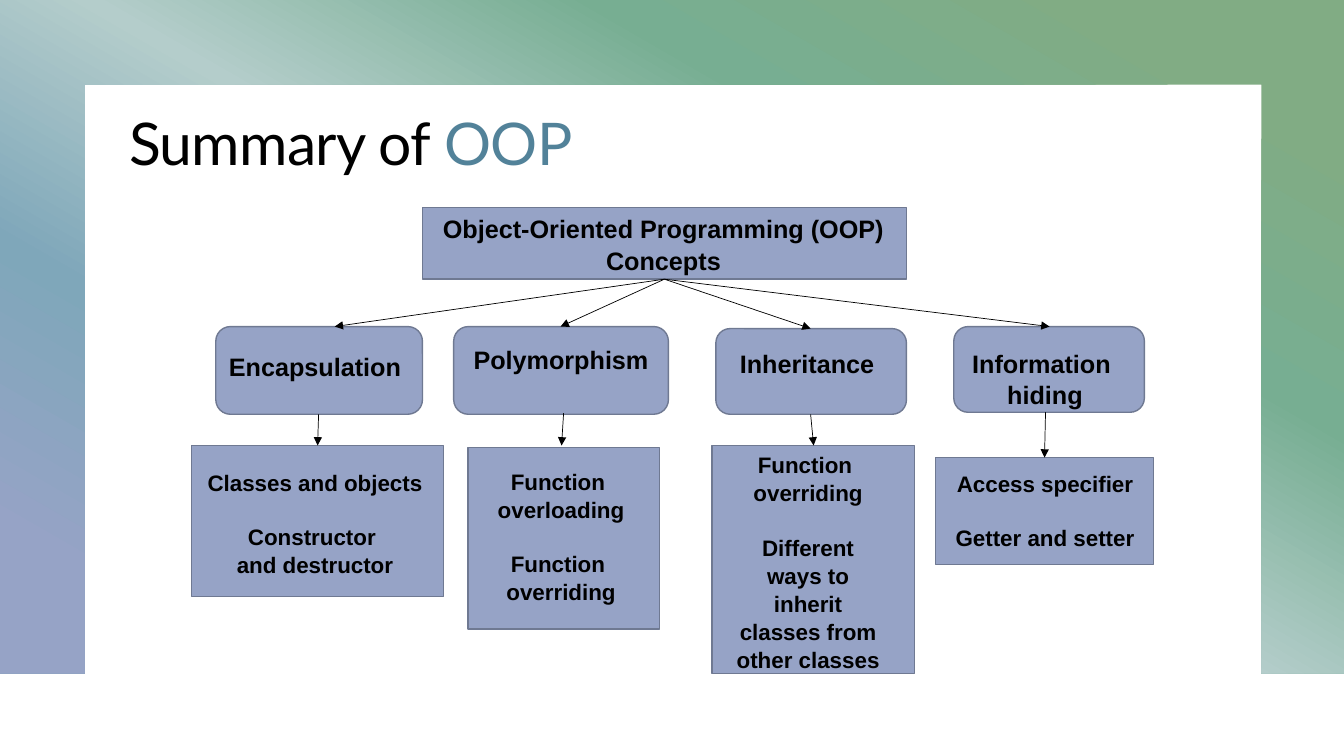
from dataclasses import dataclass, field

from lxml.etree import SubElement
from pptx import Presentation
from pptx.dml.color import RGBColor
from pptx.enum.shapes import MSO_CONNECTOR as Conn, MSO_SHAPE as Shp
from pptx.enum.text import MSO_ANCHOR as Anchor, MSO_AUTO_SIZE as AutoSize, PP_ALIGN as Align
from pptx.oxml.ns import qn
from pptx.util import Inches, Pt

Box = tuple[float, float, float, float]
Point = tuple[float, float]


@dataclass(frozen=True)
class Theme:
    black: str = "000000"
    accent: str = "528299"
    fill: str = "96A3C6"
    edge: str = "6F7992"
    title_font: str = "Lato"
    body_font: str = "Arial"
    title_size: int = 42
    head_size: int = 18
    detail_size: int = 16
    edge_width: float = 1
    arrow_width: float = 0.5
    line_spacing: float = 1.04
    group_gap: int = 19
    angle: int = 120
    gradient: dict[int, str] = field(default_factory=lambda: {
        10: "81AC84", 30: "77AE92", 50: "B4CDCB", 70: "7FA7BA", 90: "96A3C6"})


@dataclass(frozen=True)
class Label:
    at: Box
    groups: list[list[str]]  # groups of paragraphs, set apart by a gap
    size: int


@dataclass(frozen=True)
class Branch:
    head: Box
    head_label: Label
    detail: Box
    detail_label: Label
    entry: Point
    link: tuple[Point, Point]


T = Theme()
ROOT = (4.19, 2.06, 4.8, 0.71)
ROOT_LABEL = Label((4.17, 2.06, 4.82, 0.71),
                   [["Object-Oriented Programming (OOP) Concepts"]], T.head_size)
ROOT_EXIT = (6.59, 2.77)

BRANCHES = [
    Branch((2.14, 3.24, 2.05, 0.87),
           Label((1.51, 3.42, 3.23, 0.4), [["Encapsulation"]], T.head_size),
           (1.9, 4.42, 2.5, 1.5),
           Label((1.51, 4.59, 3.23, 1.45),
                 [["Classes and objects"], ["Constructor ", "and destructor"]], T.detail_size),
           (3.32, 3.24), ((3.16, 4.11), (3.15, 4.42))),
    Branch((4.5, 3.24, 2.13, 0.87),
           Label((3.95, 3.36, 3.23, 0.4), [["Polymorphism"]], T.head_size),
           (4.64, 4.44, 1.9, 1.8),
           Label((3.95, 4.58, 3.23, 1.72),
                 [["Function ", "overloading"], ["Function ", "overriding"]], T.detail_size),
           (5.56, 3.24), ((5.59, 4.1), (5.57, 4.42))),
    Branch((7.1, 3.26, 1.89, 0.85),
           Label((6.39, 3.39, 3.23, 0.4), [["Inheritance"]], T.head_size),
           (7.06, 4.42, 2.01, 2.26),
           Label((7.18, 4.42, 1.67, 2.56),
                 [["Function ", "overriding"],
                  ["Different ways to inherit classes from other classes"]], T.detail_size),
           (8.04, 3.26), ((8.04, 4.11), (8.07, 4.42))),
    Branch((9.46, 3.24, 1.89, 0.85),
           Label((8.75, 3.39, 3.23, 0.71), [["Information ", "hiding"]], T.head_size),
           (9.28, 4.54, 2.16, 1.06),
           Label((8.75, 4.6, 3.23, 1.21),
                 [["Access specifier"], ["Getter and setter"]], T.detail_size),
           (10.41, 3.24), ((10.37, 4.09), (10.36, 4.54))),
]


def inches(values: tuple[float, ...]) -> list[int]:
    return [Inches(v) for v in values]


def apply(target, formats: dict) -> None:
    for name, value in formats.items():
        setattr(target, name, value)


def style_font(font, name: str, size: int, color: str, bold: bool) -> None:
    apply(font, {"name": name, "size": Pt(size), "bold": bold})
    font.color.rgb = RGBColor.from_string(color)


def add_frame(s) -> None:
    outline = [(0, 0), (13.33, 0), (13.33, 6.68), (12.51, 6.68),
               (12.51, 0.84), (0.84, 0.84), (0.84, 6.68), (0, 6.68)]
    points = [tuple(inches(p)) for p in outline]
    builder = s.shapes.build_freeform(*points[0])
    builder.add_line_segments(points[1:], close=True)
    sp = builder.convert_to_shape()
    sp.shadow.inherit = False
    sp.line.fill.background()
    sp.fill.gradient()
    grad = sp.element.spPr.find(qn("a:gradFill"))
    stops = grad.find(qn("a:gsLst"))
    for stop in list(stops):
        stops.remove(stop)
    for pos, color in T.gradient.items():
        stop = SubElement(stops, qn("a:gs"), pos=str(pos * 1000))
        SubElement(stop, qn("a:srgbClr"), val=color)
    grad.find(qn("a:lin")).set("ang", str(T.angle * 60000))


def add_title(s) -> None:
    title = s.shapes.title
    apply(title, dict(zip(("left", "top", "width", "height"), inches((1.18, 1.06, 10, 1.47)))))
    tf = title.text_frame
    apply(tf, {"word_wrap": True, "auto_size": AutoSize.NONE, "vertical_anchor": Anchor.TOP})
    p = tf.paragraphs[0]
    apply(p, {"alignment": Align.LEFT, "line_spacing": 0.95})
    for text, color in (("Summary of ", T.black), ("OOP", T.accent)):
        r = p.add_run()
        r.text = text
        style_font(r.font, T.title_font, T.title_size, color, False)
        r.font._element.set("spc", "-50")


def add_box(s, kind: Shp, at: Box) -> None:
    sp = s.shapes.add_shape(kind, *inches(at))
    sp.shadow.inherit = False
    sp.fill.solid()
    sp.fill.fore_color.rgb = RGBColor.from_string(T.fill)
    sp.line.color.rgb = RGBColor.from_string(T.edge)
    sp.line.width = Pt(T.edge_width)


def add_label(s, label: Label) -> None:
    tf = s.shapes.add_textbox(*inches(label.at)).text_frame
    tf.word_wrap = True
    p = None
    for g, group in enumerate(label.groups):
        for i, text in enumerate(group):
            p = tf.add_paragraph() if p is not None else tf.paragraphs[0]
            gap = T.group_gap if g and not i else 0
            apply(p, {"alignment": Align.CENTER, "line_spacing": T.line_spacing,
                      "space_before": Pt(gap)})
            r = p.add_run()
            r.text = text
            style_font(r.font, T.body_font, label.size, T.black, True)


def add_arrow(s, start: Point, end: Point) -> None:
    line = s.shapes.add_connector(Conn.STRAIGHT, *inches(start + end))
    line.line.color.rgb = RGBColor.from_string(T.black)
    line.line.width = Pt(T.arrow_width)
    props = line.element.spPr
    SubElement(props.find(qn("a:ln")), qn("a:tailEnd"), type="triangle")
    SubElement(props, qn("a:effectLst"))


def main() -> None:
    prs = Presentation()
    apply(prs, {"slide_width": Inches(13.33), "slide_height": Inches(7.5)})
    s = prs.slides.add_slide(prs.slide_layouts[5])

    # Background frame and title
    add_frame(s)
    add_title(s)

    # Root concept
    add_box(s, Shp.RECTANGLE, ROOT)
    add_label(s, ROOT_LABEL)

    # Four branches, each with its details
    for branch in BRANCHES:
        add_box(s, Shp.ROUNDED_RECTANGLE, branch.head)
        add_box(s, Shp.RECTANGLE, branch.detail)
    for branch in BRANCHES:
        add_label(s, branch.head_label)
        add_label(s, branch.detail_label)
        add_arrow(s, ROOT_EXIT, branch.entry)
        add_arrow(s, *branch.link)

    prs.save("out.pptx")


if __name__ == "__main__":
    main()
